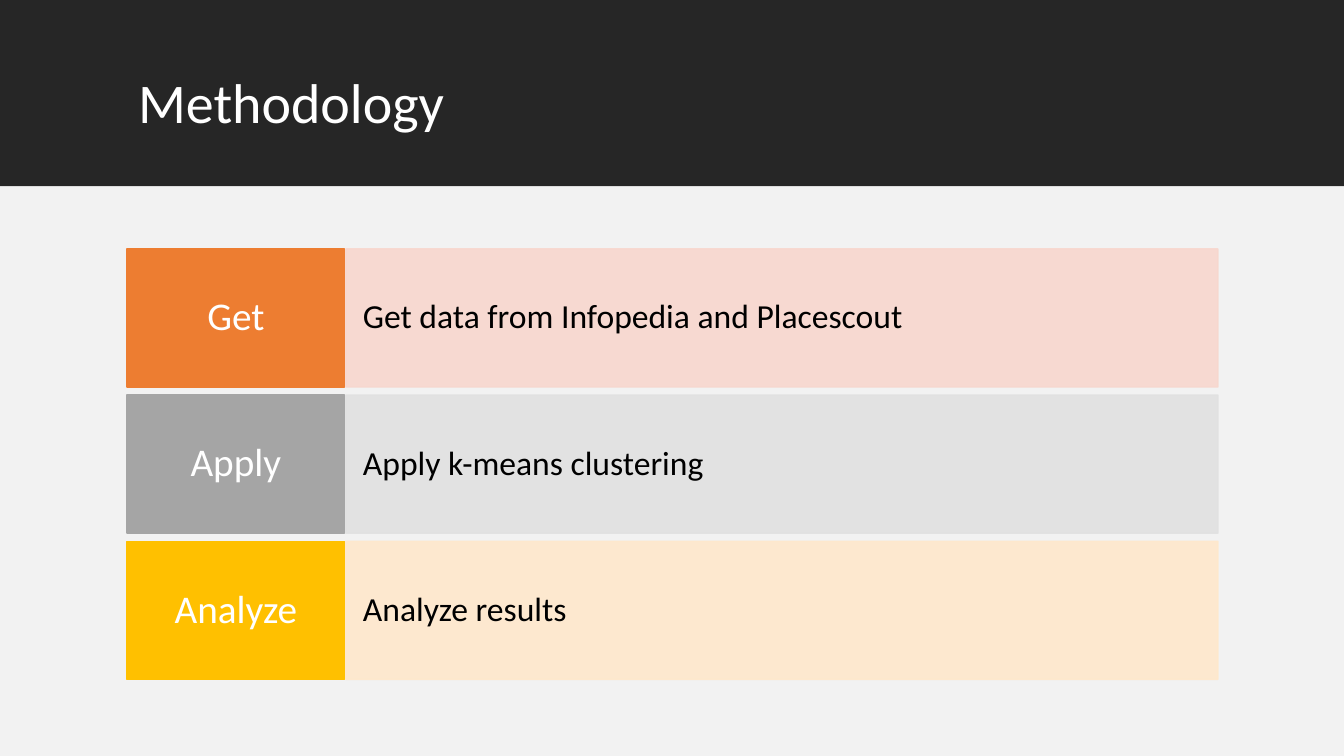
from lxml import etree
from pptx import Presentation
from pptx.dml.color import RGBColor
from pptx.enum.shapes import MSO_SHAPE
from pptx.enum.text import MSO_ANCHOR, MSO_AUTO_SIZE, PP_ALIGN
from pptx.oxml.ns import qn
from pptx.util import Inches, Pt

RECT = MSO_SHAPE.RECTANGLE
TOP, MIDDLE = MSO_ANCHOR.TOP, MSO_ANCHOR.MIDDLE
LEFT, CENTER = PP_ALIGN.LEFT, PP_ALIGN.CENTER
NO_FIT = MSO_AUTO_SIZE.NONE

COLORS = {
    "band": "262626", "body": "F2F2F2", "white": "FFFFFF", "black": "000000",
    "orange": "ED7D31", "orange_tint": "F8D7CE",
    "gray": "A5A5A5", "gray_tint": "E1E1E1",
    "gold": "FFC000", "gold_tint": "FFE8CC",
}

STEPS = [
    ("Get", "Get data from Infopedia and Placescout", "orange"),
    ("Apply", "Apply k-means clustering", "gray"),
    ("Analyze", "Analyze results", "gold"),
]


class Deck:
    font = "Calibri"

    def __init__(self, width, height):
        self.prs = Presentation()
        self.prs.slide_width = Inches(width)
        self.prs.slide_height = Inches(height)
        self.s = self.prs.slides.add_slide(self.prs.slide_layouts[5])

    def color(self, name):
        return RGBColor.from_string(COLORS[name])

    def rect(self, x, y, w, h, fill, outlined=False, opacity=100):
        sp = self.s.shapes.add_shape(RECT, Inches(x), Inches(y), Inches(w), Inches(h))
        sp.shadow.inherit = False
        sp.fill.solid()
        sp.fill.fore_color.rgb = self.color(fill)
        if outlined:
            sp.line.color.rgb = self.color(fill)
            sp.line.width = Pt(1)
        else:
            sp.line.fill.background()
        if opacity < 100:
            for clr in sp._element.spPr.iter(qn("a:srgbClr")):
                etree.SubElement(clr, qn("a:alpha")).set("val", str(opacity * 1000))
        return sp

    def text(self, sp, words, size, color, align=LEFT, anchor=MIDDLE, inset=(0.1, 0.05)):
        tf = sp.text_frame
        tf.word_wrap = True
        tf.auto_size = NO_FIT
        tf.vertical_anchor = anchor
        tf.margin_left = tf.margin_right = Inches(inset[0])
        tf.margin_top = tf.margin_bottom = Inches(inset[1])
        p = tf.paragraphs[0]
        p.alignment = align
        p.line_spacing = 0.9
        r = p.add_run()
        r.text = words
        r.font.name = self.font
        r.font.size = Pt(size)
        r.font.color.rgb = self.color(color)

    def title(self, words, x, y, w, h):
        sp = self.s.shapes.title
        sp.left, sp.top, sp.width, sp.height = map(Inches, (x, y, w, h))
        self.text(sp, words, 40, "white", anchor=TOP)
        # Bring the title in front of the header band
        self.s.shapes._spTree.append(sp._element)

    def step(self, y, label, detail, color):
        h = 1.37
        sp = self.rect(3.43, y, 8.65, h, color + "_tint", outlined=True, opacity=90)
        self.text(sp, detail, 24, "black", inset=(0.17, 0.35))
        sp = self.rect(1.26, y, 2.16, h, color, outlined=True)
        self.text(sp, label, 28, "white", align=CENTER, inset=(0.11, 0.14))


def main():
    deck = Deck(13.33, 7.5)

    # Header band and body background
    deck.rect(0, 0, 13.33, 1.85, "band")
    deck.title("Methodology", 1.27, 0.7, 10.81, 0.98)
    deck.rect(0, 1.85, 13.33, 5.65, "body")

    # Method steps, evenly spaced
    for i, (label, detail, color) in enumerate(STEPS):
        deck.step(2.47 + i * 1.45, label, detail, color)

    deck.prs.save("out.pptx")


if __name__ == "__main__":
    main()
